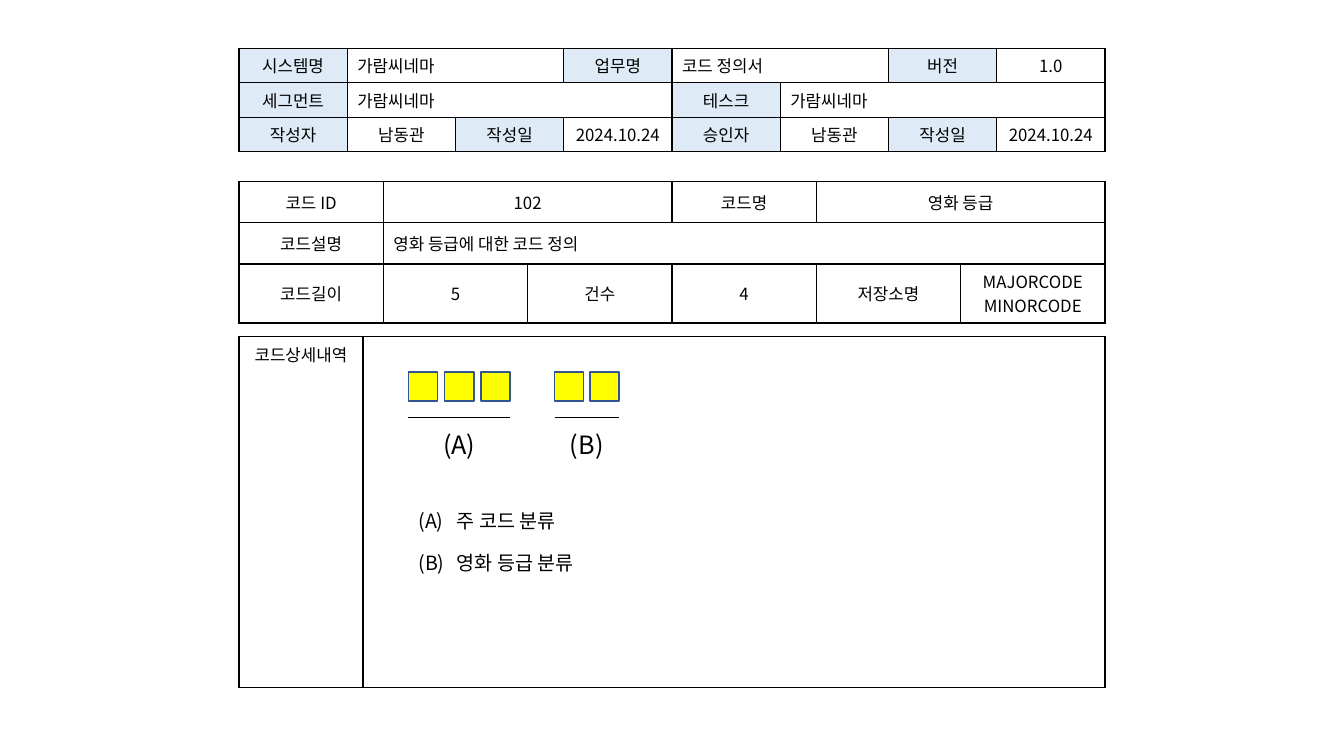
from dataclasses import dataclass

import pptx
import pptx.dml.color
import pptx.enum.shapes
import pptx.enum.text
import pptx.oxml.ns
import pptx.oxml.xmlchemy
import pptx.util
from pptx.util import Inches

ALIGN = pptx.enum.text.PP_ALIGN
ANCHOR = pptx.enum.text.MSO_ANCHOR


def colour(value):
    return pptx.dml.color.RGBColor.from_string(value)


def add_element(parent, tag, **attributes):
    child = pptx.oxml.xmlchemy.OxmlElement(tag)
    for name, value in attributes.items():
        child.set(name, str(value))
    parent.append(child)
    return child


@dataclass
class Cell:
    text: str = ""
    span: int = 1
    align: int = ALIGN.CENTER
    fill: str = ""


def heading(text):
    return Cell(text, fill="DEEBF7")


def entry(text, span):
    return Cell(text, span, ALIGN.LEFT)


class CodeSheet:
    font = "Noto Sans CJK KR"
    ink = "000000"
    line_width = 1

    def __init__(self, page):
        self.page = page

    def style(self, para, size, align=ALIGN.LEFT):
        para.alignment = align
        para.font.size = pptx.util.Pt(size)
        para.font.color.rgb = colour(self.ink)
        para.font.name = self.font
        defaults = para._p.pPr.find(pptx.oxml.ns.qn("a:defRPr"))
        add_element(defaults, "a:ea", typeface=self.font)

    def border(self, cell):
        properties = cell._tc.get_or_add_tcPr()
        for side in ("a:lnL", "a:lnR", "a:lnT", "a:lnB"):
            line = add_element(properties, side, w=pptx.util.Pt(self.line_width))
            fill = add_element(line, "a:solidFill")
            add_element(fill, "a:srgbClr", val=self.ink)

    def table(self, left, top, widths, heights, rows, anchor=ANCHOR.MIDDLE):
        frame = self.page.shapes.add_table(
            len(heights), len(widths), Inches(left), Inches(top),
            Inches(sum(widths)), Inches(sum(heights)))
        table = frame.table
        table.first_row = table.horz_banding = False
        for column, width in zip(table.columns, widths):
            column.width = Inches(width)
        for row, height in zip(table.rows, heights):
            row.height = Inches(height)
        for cell in table.iter_cells():
            self.border(cell)
            cell.fill.background()
            cell.vertical_anchor = anchor
            self.style(cell.text_frame.paragraphs[0], 12)
        for r, row in enumerate(rows):
            c = 0
            for item in row:
                cell = table.cell(r, c)
                if item.span > 1:
                    cell.merge(table.cell(r, c + item.span - 1))
                cell.text_frame.text = item.text
                for para in cell.text_frame.paragraphs:
                    self.style(para, 12, item.align)
                if item.fill:
                    cell.fill.solid()
                    cell.fill.fore_color.rgb = colour(item.fill)
                c += item.span

    def digit_boxes(self, left, top, width, count, side=0.29):
        group = self.page.shapes.add_group_shape()
        step = (width - side) / (count - 1)
        for i in range(count):
            box = group.shapes.add_shape(
                pptx.enum.shapes.MSO_SHAPE.RECTANGLE, Inches(left + i * step),
                Inches(top), Inches(side), Inches(side))
            box.shadow.inherit = False
            box.fill.solid()
            box.fill.fore_color.rgb = colour("FFFF00")
            box.line.color.rgb = colour("325491")
            box.line.width = pptx.util.Pt(self.line_width)

    def rule(self, left, top, width):
        line = self.page.shapes.add_connector(
            pptx.enum.shapes.MSO_CONNECTOR.STRAIGHT, Inches(left), Inches(top),
            Inches(left + width), Inches(top))
        line.line.color.rgb = colour(self.ink)
        line.line.width = pptx.util.Pt(self.line_width)
        add_element(line._element.spPr, "a:effectLst")

    def label(self, text, left, top, width, height):
        box = self.page.shapes.add_textbox(
            Inches(left), Inches(top), Inches(width), Inches(height))
        box.text_frame.word_wrap = True
        box.text_frame.text = text
        self.style(box.text_frame.paragraphs[0], 18, ALIGN.CENTER)

    def lettered_list(self, items, left, top, width, height):
        body = self.page.placeholders[1]
        body.left, body.top = Inches(left), Inches(top)
        body.width, body.height = Inches(width), Inches(height)
        frame = body.text_frame
        frame.auto_size = pptx.enum.text.MSO_AUTO_SIZE.NONE
        frame.vertical_anchor = ANCHOR.TOP
        frame.text = "\n".join(items)
        for para in frame.paragraphs:
            para.space_before = pptx.util.Pt(0)
            para.space_after = pptx.util.Pt(13.3)
            properties = para._p.get_or_add_pPr()
            properties.set("marL", str(Inches(0.38)))
            properties.set("indent", str(-Inches(0.38)))
            add_element(properties, "a:buFont", typeface=self.font)
            add_element(properties, "a:buAutoNum", type="alphaUcParenBoth")
            self.style(para, 14)


def main():
    deck = pptx.Presentation()
    deck.slide_width, deck.slide_height = Inches(13.33), Inches(7.5)
    page = deck.slides.add_slide(deck.slide_layouts[1])
    title = page.shapes.title.element
    title.getparent().remove(title)
    sheet = CodeSheet(page)
    left, total = 2.37, 8.59

    # Document header
    sheet.table(left, 0.48, [total / 8] * 8, [0.34] * 3, [
        [heading("시스템명"), entry("가람씨네마", 2), heading("업무명"),
         entry("코드 정의서", 2), heading("버전"), Cell("1.0")],
        [heading("세그먼트"), entry("가람씨네마", 3),
         heading("테스크"), entry("가람씨네마", 3)],
        [heading("작성자"), Cell("남동관"), heading("작성일"), Cell("2024.10.24"),
         heading("승인자"), Cell("남동관"), heading("작성일"), Cell("2024.10.24")],
    ])

    # Code summary
    sheet.table(left, 1.8, [total / 6] * 6, [0.41, 0.41, 0.58], [
        [Cell("코드 ID"), Cell("102", 2), Cell("코드명"), Cell("영화 등급", 2)],
        [Cell("코드설명"), entry("영화 등급에 대한 코드 정의", 5)],
        [Cell("코드길이"), Cell("5"), Cell("건수"), Cell("4"),
         Cell("저장소명"), Cell("MAJORCODE\nMINORCODE")],
    ])

    # Code details
    sheet.table(left, 3.34, [1.23, total - 1.23], [3.48],
                [[Cell("코드상세내역"), Cell()]], ANCHOR.TOP)

    # Code digits, underlined and labelled by part
    label_width = 0.6
    for text, start, width, count in (("(A)", 4.05, 1.01, 3), ("(B)", 5.5, 0.64, 2)):
        sheet.digit_boxes(start, 3.69, width, count)
        sheet.rule(start, 4.14, width)
        sheet.label(text, start + (width - label_width) / 2, 4.21, label_width, 0.4)

    # Meaning of each part
    sheet.lettered_list(["주 코드 분류", "영화 등급 분류"], 4.05, 5, 3.16, 0.81)

    deck.save("out.pptx")


if __name__ == "__main__":
    main()
